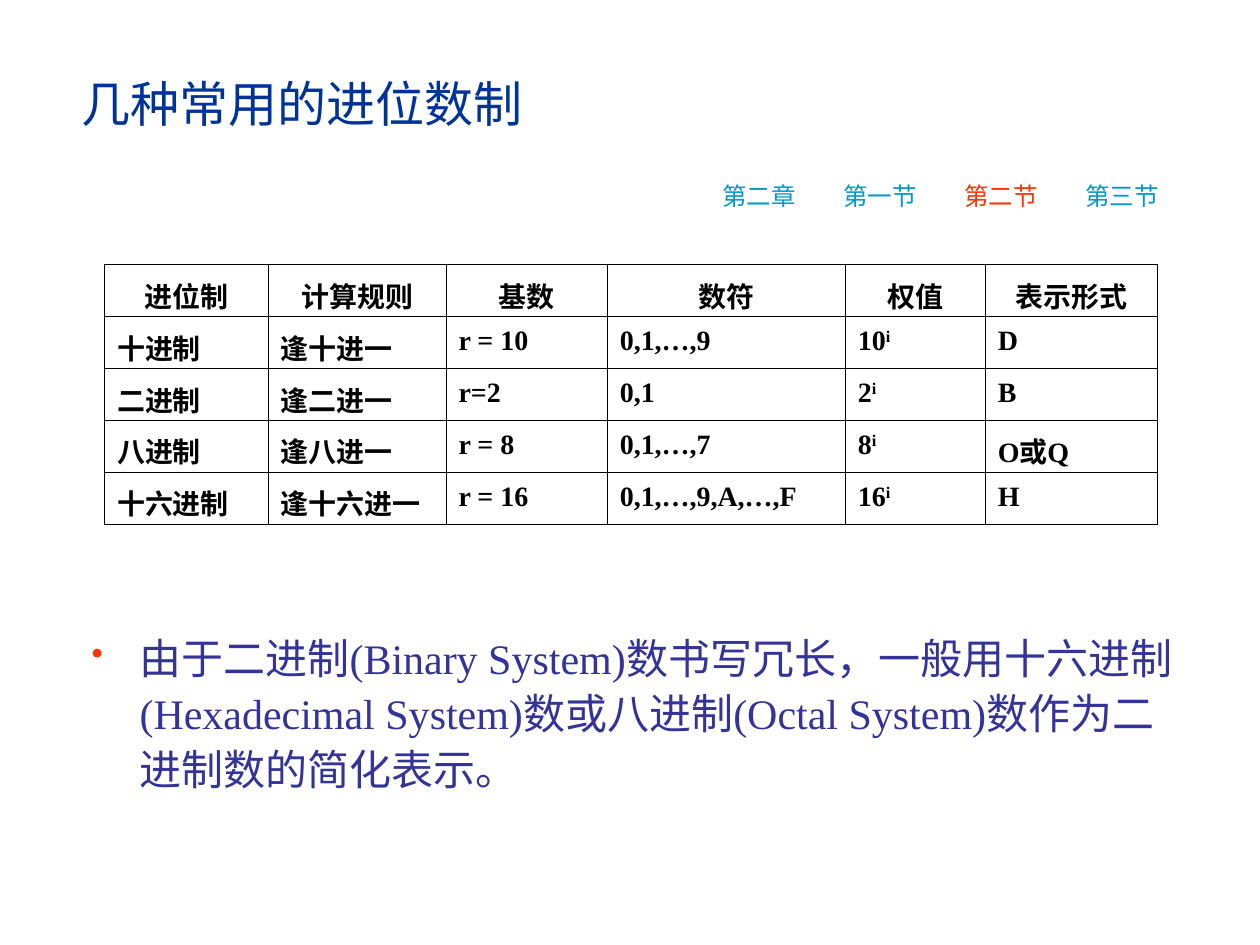
"""Build a slide on common positional number systems."""
from dataclasses import dataclass

from lxml.etree import SubElement as Sub
from pptx import Presentation
from pptx.dml.color import RGBColor as Rgb
from pptx.enum.text import MSO_ANCHOR as Anchor, MSO_AUTO_SIZE as Auto, PP_ALIGN as Align
from pptx.oxml.ns import qn
from pptx.util import Inches, Pt


@dataclass(frozen=True)
class Theme:
    title: str = "003399"
    link: str = "0099CC"
    hot: str = "FF3300"
    body: str = "333399"
    ink: str = "000000"
    serif: str = "Times New Roman"
    sans: str = "Arial"
    head_pt: int = 28
    body_pt: int = 24
    cell_pt: int = 16
    link_pt: int = 14
    rule_pt: float = 0.45
    hang: float = 0.38
    lead: float = 1.1


LOOK = Theme()
LINKS = ["第二章", "第一节", "第二节", "第三节"]
HERE = "第二节"
COLS = [1.3, 1.41, 1.28, 1.89, 1.11, 1.37]
ROWS = [
    ["进位制", "计算规则", "基数", "数符", "权值", "表示形式"],
    ["十进制", "逢十进一", "r = 10", "0,1,…,9", "10^i", "D"],
    ["二进制", "逢二进一", "r=2", "0,1", "2^i", "B"],
    ["八进制", "逢八进一", "r = 8", "0,1,…,7", "8^i", "O或Q"],
    ["十六进制", "逢十六进一", "r = 16", "0,1,…,9,A,…,F", "16^i", "H"],
]
NOTE = ("由于二进制(Binary System)数书写冗长，一般用十六进制(Hexadecimal System)数"
        "或八进制(Octal System)数作为二进制数的简化表示。")


def write(frame, text, size, color, font=LOOK.serif, bold=False,
          align=Align.LEFT, hang=0, lead=None, dot=None):
    """Fill a frame with one paragraph; text after a caret is raised."""
    para = frame.paragraphs[0]
    props = para._p.get_or_add_pPr()
    if hang:
        props.set("marL", str(Inches(hang)))
        props.set("indent", str(-Inches(hang)))
    if dot:
        Sub(Sub(props, qn("a:buClr")), qn("a:srgbClr"), val=dot)
        Sub(props, qn("a:buSzPct"), val="80000")
        Sub(props, qn("a:buChar"), char="•")
    para.alignment = align
    if lead:
        para.line_spacing = lead
    base, _, power = text.partition("^")
    for part in filter(None, (base, power)):
        run = para.add_run()
        run.text = part
        run.font.name = font
        run.font.size = Pt(size)
        run.font.bold = bold
        run.font.color.rgb = Rgb.from_string(color)
    if power:
        run._r.get_or_add_rPr().set("baseline", "30000")


def add_title(slide, text):
    """Place and fill the title."""
    shape = slide.shapes.title
    shape.left, shape.top = Inches(0.55), Inches(0.33)
    shape.width, shape.height = Inches(8.86), Inches(0.98)
    frame = shape.text_frame
    frame.auto_size = Auto.NONE
    frame.vertical_anchor = Anchor.MIDDLE
    write(frame, text, LOOK.head_pt, LOOK.title)


def add_box(slide, left, top, width, height):
    """Add a wrapping text box and return its frame."""
    box = slide.shapes.add_textbox(*map(Inches, (left, top, width, height)))
    box.text_frame.word_wrap = True
    return box.text_frame


def add_links(slide):
    """Add the row of section labels with the current one lit."""
    for i, name in enumerate(LINKS):
        frame = add_box(slide, 5.63 + 0.96 * i, 1.43, 0.79, 0.26)
        frame.margin_left = frame.margin_right = Inches(0.02)
        frame.margin_top = frame.margin_bottom = Inches(0.01)
        frame.auto_size = Auto.SHAPE_TO_FIT_TEXT
        color = LOOK.hot if name == HERE else LOOK.link
        write(frame, name, LOOK.link_pt, color, font=LOOK.sans, align=Align.CENTER)


def rule_cell(cell):
    """Draw thin lines round a cell and clear its fill."""
    props = cell._tc.get_or_add_tcPr()
    for side in "LRTB":
        line = Sub(props, qn(f"a:ln{side}"), w=str(Pt(LOOK.rule_pt)))
        Sub(Sub(line, qn("a:solidFill")), qn("a:srgbClr"), val=LOOK.ink)
    cell.fill.background()


def add_grid(slide):
    """Add the table of number systems."""
    place = map(Inches, (0.83, 2.1, sum(COLS), 2.06))
    table = slide.shapes.add_table(len(ROWS), len(COLS), *place).table
    table.first_row = table.horz_banding = False
    for col, width in zip(table.columns, COLS):
        col.width = Inches(width)
    for r, row in enumerate(ROWS):
        for c, text in enumerate(row):
            cell = table.cell(r, c)
            rule_cell(cell)
            write(cell.text_frame, text, LOOK.cell_pt, LOOK.ink, bold=True,
                  align=Align.LEFT if r else Align.CENTER,
                  hang=LOOK.hang, lead=LOOK.lead)


def main():
    """Build and save the slide."""
    deck = Presentation()
    deck.slide_width, deck.slide_height = Inches(10), Inches(7.5)
    slide = deck.slides.add_slide(deck.slide_layouts.get_by_name("Title Only"))
    add_links(slide)
    add_title(slide, "几种常用的进位数制")
    write(add_box(slide, 0.63, 4.93, 8.86, 1.47), NOTE, LOOK.body_pt, LOOK.body,
          hang=LOOK.hang, lead=LOOK.lead, dot=LOOK.hot)
    add_grid(slide)
    deck.save("out.pptx")


if __name__ == "__main__":
    main()
